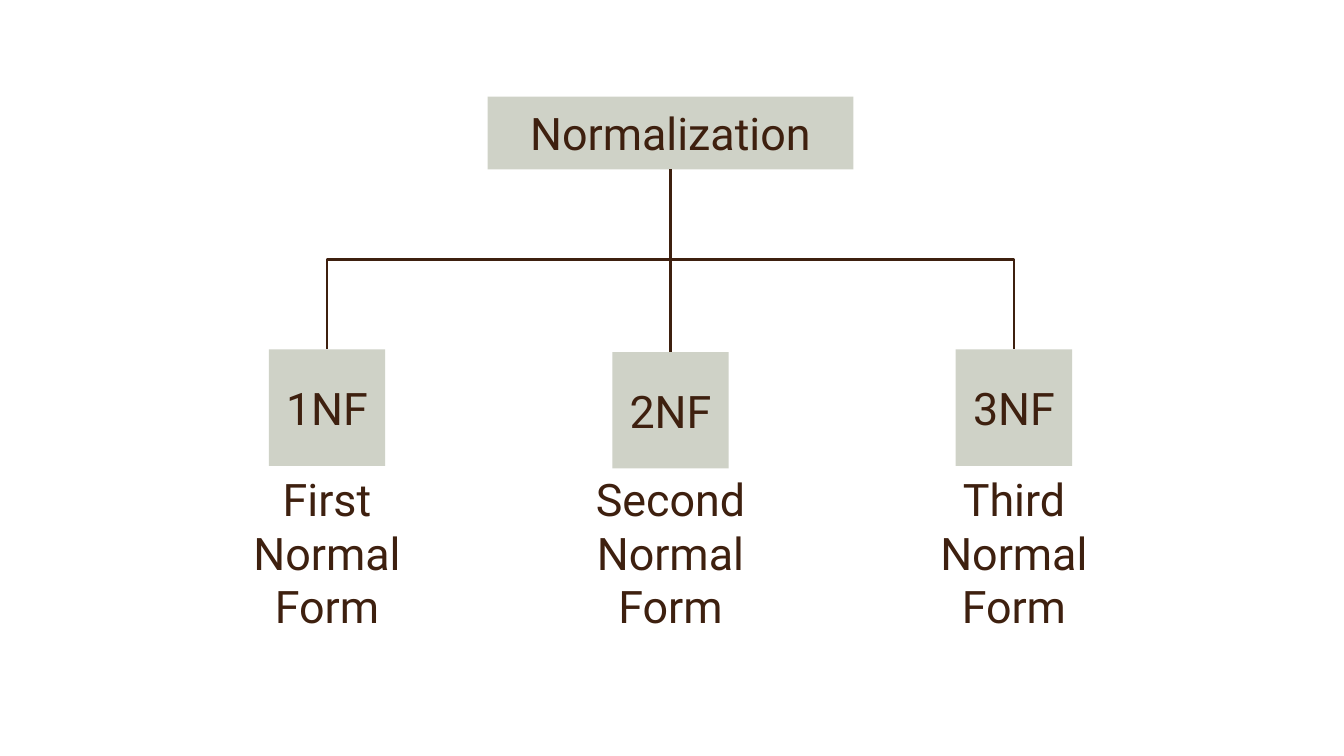
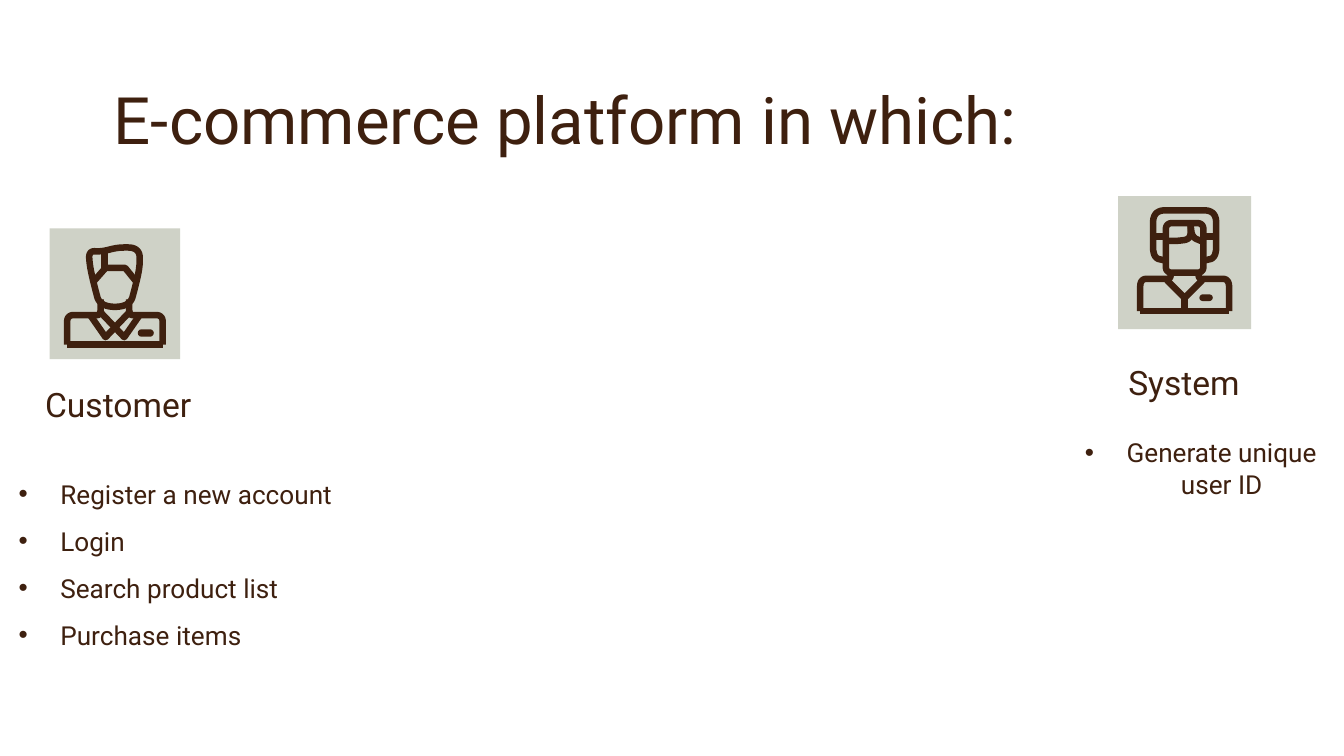
import pptx
import pptx.dml.color
import pptx.enum.shapes
import pptx.enum.text
import pptx.oxml.ns
import pptx.util
from lxml import etree

Pt = pptx.util.Pt
RGB = pptx.dml.color.RGBColor.from_string
SHAPE = pptx.enum.shapes.MSO_SHAPE
CONNECTOR = pptx.enum.shapes.MSO_CONNECTOR
ALIGN = pptx.enum.text.PP_ALIGN
ANCHOR = pptx.enum.text.MSO_ANCHOR
qn = pptx.oxml.ns.qn

COLORS = {"ink": "3E200F", "tile": "CFD2C7"}
FONT = "Roboto"
INSET = 7.2
BULLET_INDENT = 22.3
ICON_STROKE = 3.5


def mirror(points):
    return [(-x, y) for x, y in reversed(points)]


def symmetric(half):
    return half + mirror(half)


# Icon strokes: (points, closed, rounded); x from the tile's centre, y from its top.
CUSTOMER_COLLAR = [(-13, 46.8), (-5, 58.3), (8, 44.6)]
CUSTOMER_ICON = {
    "strokes": [
        ([(-25.6, 62.3), (25.6, 62.3)], False, False),
        (CUSTOMER_COLLAR, False, False),
        (mirror(CUSTOMER_COLLAR), False, False),
        ([(-11, 28), (-5, 21.2), (5.5, 21.2), (11, 28)], False, False),
        ([(-5.5, 12.5), (-5.5, 21.2)], False, False),
        ([(-13.5, 20), (-14, 12), (-7, 12.5), (2, 10), (13, 10.5), (13.5, 20),
          (11, 31), (8, 42), (-8, 42), (-11, 31)], True, True),
    ],
    "shoulder": [(-25.6, 62.3), (-25.6, 54), (-25.6, 46.4), (-18, 46.4),
                 (-11, 46.4), (-7.6, 46.4), (-7.6, 38)],
    "badge": (12.2, 54, 8.6, 4),
}
SYSTEM_ICON = {
    "strokes": [
        ([(-23.8, 61.6), (23.8, 61.6)], False, False),
        ([(-9.5, 45), (0, 54.5), (9.5, 45)], False, False),
        ([(0, 54.5), (0, 61.6)], False, False),
        (symmetric([(-10.4, 34.5), (-16.9, 33), (-16.9, 21), (-16.9, 7.6), (-4, 7.6)]),
         False, True),
        (symmetric([(-3, 41), (-10.1, 41), (-10.1, 34), (-10.1, 22), (-10.1, 14.4),
                    (-3, 14.4)]), True, True),
        ([(-16.9, 21.5), (-10.1, 21.5)], False, False),
        ([(10.1, 21.5), (16.9, 21.5)], False, False),
        ([(-10, 24), (-3.5, 24), (3.2, 23), (3.2, 15.5)], False, True),
        ([(3.2, 15.5), (4, 22), (9.5, 24.3)], False, True),
    ],
    "shoulder": [(-23.8, 61.6), (-23.8, 53), (-23.8, 44.3), (-17, 44.3),
                 (-11, 44.3), (-7.5, 44.3), (-7.5, 40)],
    "badge": (7.9, 52.6, 7.2, 3.6),
}


def write_text(frame, lines, size, anchor, align=ALIGN.CENTER, bullets=False, spacing=None):
    frame.word_wrap = True
    frame.auto_size = pptx.enum.text.MSO_AUTO_SIZE.NONE
    frame.vertical_anchor = anchor
    frame.margin_left = frame.margin_right = Pt(INSET)
    frame.margin_top = frame.margin_bottom = Pt(INSET)
    for index, line in enumerate(lines):
        paragraph = frame.add_paragraph() if index else frame.paragraphs[0]
        paragraph.alignment = align
        if spacing:
            paragraph.line_spacing = spacing
        if bullets:
            add_bullet(paragraph)
        run = paragraph.add_run()
        run.text = line
        run.font.name = FONT
        run.font.size = Pt(size)
        run.font.color.rgb = RGB(COLORS["ink"])


def add_bullet(paragraph):
    properties = paragraph._p.get_or_add_pPr()
    properties.set("marL", str(Pt(BULLET_INDENT)))
    properties.set("indent", str(-Pt(BULLET_INDENT)))
    color = etree.SubElement(properties, qn("a:buClr"))
    etree.SubElement(color, qn("a:srgbClr"), val=COLORS["ink"])
    etree.SubElement(properties, qn("a:buFont"), typeface="Arial")
    etree.SubElement(properties, qn("a:buChar"), char="•")


def add_text(slide, box, lines, size, anchor, **style):
    textbox = slide.shapes.add_textbox(*map(Pt, box))
    write_text(textbox.text_frame, lines, size, anchor, **style)


def add_block(slide, box, label=None, kind=SHAPE.RECTANGLE, color="tile"):
    block = slide.shapes.add_shape(kind, *map(Pt, box))
    block.shadow.inherit = False
    block.fill.solid()
    block.fill.fore_color.rgb = RGB(COLORS[color])
    block.line.fill.background()
    if label:
        write_text(block.text_frame, [label], 24, ANCHOR.MIDDLE)
    return block


def add_line(slide, kind, start, end):
    line = slide.shapes.add_connector(kind, *map(Pt, (*start, *end)))
    line.line.color.rgb = RGB(COLORS["ink"])
    line.line.width = Pt(1.5)
    etree.SubElement(line._element.spPr, qn("a:effectLst"))
    return line


def add_branch(slide, start, end):
    """Elbow that leaves and arrives vertically: a horizontal one, turned a quarter."""
    half_drop = (end[1] - start[1]) / 2
    half_span = abs(end[0] - start[0]) / 2
    x, y = (start[0] + end[0]) / 2, (start[1] + end[1]) / 2
    side = 1 if end[0] > start[0] else -1
    branch = add_line(slide, CONNECTOR.ELBOW, (x + side * half_drop, y - half_span),
                      (x - side * half_drop, y + half_span))
    turn = 270 if side > 0 else 90
    branch._element.spPr.find(qn("a:xfrm")).set("rot", str(turn * 60000))


def add_hierarchy(slide, box, root_name, forms):
    left, top, width, _ = box
    tile, caption_width, root_width, root_height = 62.4, 131.8, 196, 39
    pitch = (width - caption_width) / (len(forms) - 1)
    center = left + width / 2
    root = add_block(slide, (center - root_width / 2, top, root_width, root_height), root_name)
    root_bottom = (center, top + root_height)
    for index, (short_name, full_name, tile_drop) in enumerate(forms):
        x = left + caption_width / 2 + index * pitch
        tile_top = top + tile_drop
        add_text(slide, (x - caption_width / 2, top + 189.4, caption_width, 105.1),
                 [full_name], 24, ANCHOR.BOTTOM)
        form = add_block(slide, (x - tile / 2, tile_top, tile, tile), short_name)
        if abs(x - center) < 1:
            stem = add_line(slide, CONNECTOR.STRAIGHT, root_bottom, (x, tile_top))
            stem.begin_connect(root, 2)
            stem.end_connect(form, 0)
        else:
            add_branch(slide, root_bottom, (x, tile_top))


def round_off(points, closed):
    """Cut corners three times, keeping the ends of an open line."""
    for _ in range(3):
        following = points[1:] + points[:1] if closed else points[1:]
        cut = [(a[0] + (b[0] - a[0]) * t, a[1] + (b[1] - a[1]) * t)
               for a, b in zip(points, following) for t in (0.25, 0.75)]
        points = cut if closed else [points[0], *cut, points[-1]]
    return points


def add_icon(slide, center, top, icon):
    shoulder = icon["shoulder"]
    strokes = icon["strokes"] + [(shoulder, False, True), (mirror(shoulder), False, True)]
    builder = None
    for points, closed, rounded in strokes:
        if rounded:
            points = round_off(points, closed)
        points = [(Pt(center + x), Pt(top + y)) for x, y in points]
        if builder is None:
            builder = slide.shapes.build_freeform(*points[0])
        else:
            builder.move_to(*points[0])
        builder.add_line_segments(points[1:], close=closed)
    person = builder.convert_to_shape()
    person.shadow.inherit = False
    person.fill.background()
    person.line.color.rgb = RGB(COLORS["ink"])
    person.line.width = Pt(ICON_STROKE)
    x, y, width, height = icon["badge"]
    badge = add_block(slide, (center + x, top + y, width, height),
                      kind=SHAPE.ROUNDED_RECTANGLE, color="ink")
    badge.adjustments[0] = 0.5


def add_actor(slide, tile, icon, name, name_box, tasks, task_box, **task_style):
    """Tile with icon; name_box and task_box are measured from the tile's corner."""
    left, top, size = tile
    add_block(slide, (left, top, size, size))
    add_icon(slide, left + size / 2, top, icon)

    def from_tile(box):
        return left + box[0], top + box[1], box[2], box[3]

    add_text(slide, from_tile(name_box), [name], 18, ANCHOR.BOTTOM)
    add_text(slide, from_tile(task_box), tasks, 14, ANCHOR.TOP, bullets=True, **task_style)


def add_title(slide, box, text):
    title = slide.shapes.title
    title.left, title.top, title.width, title.height = map(Pt, box)
    write_text(title.text_frame, [text], 35, ANCHOR.TOP)


def build_normalization(deck):
    slide = deck.slides.add_slide(deck.slide_layouts[6])
    add_hierarchy(slide, (109.3, 51.8, 499.8, 294.5), "Normalization", [
        ("1NF", "First Normal Form", 135.4),
        ("2NF", "Second Normal Form", 136.8),
        ("3NF", "Third Normal Form", 135.4),
    ])


def build_platform(deck):
    slide = deck.slides.add_slide(deck.slide_layouts[5])
    add_title(slide, (0, 35.3, 606.2, 45.4), "E-commerce platform in which:")
    add_actor(slide, (26.6, 122.4, 70), CUSTOMER_ICON,
              "Customer", (-26.6, 60.5, 126.7, 51.8),
              ["Register a new account", "Login", "Search product list", "Purchase items"],
              (-23.7, 118.1, 186.5, 115.2), align=ALIGN.LEFT, spacing=1.5)
    add_actor(slide, (599, 105.1, 71.3), SYSTEM_ICON,
              "System", (-50.4, 75.6, 171.4, 41.8),
              ["Generate unique user ID"], (-29.5, 121.7, 147.6, 56.2))


def main():
    deck = pptx.Presentation()
    deck.slide_width, deck.slide_height = Pt(720), Pt(405)
    build_normalization(deck)
    build_platform(deck)
    deck.save("out.pptx")


if __name__ == "__main__":
    main()
